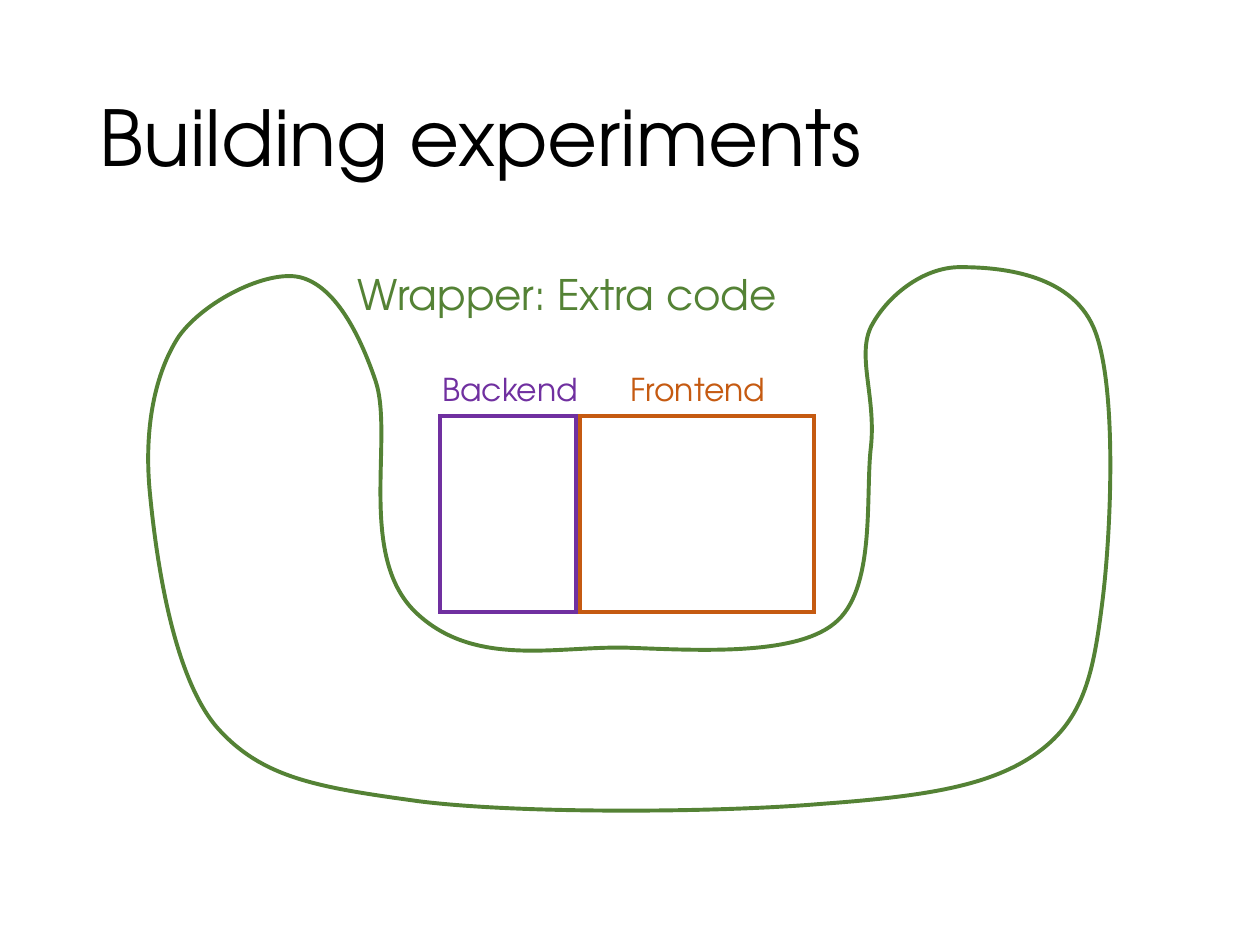
import dataclasses

import lxml.etree
import pptx
import pptx.dml.color
import pptx.enum.shapes
import pptx.enum.text
import pptx.oxml.ns
import pptx.util

Inches = pptx.util.Inches
Color = pptx.dml.color.RGBColor.from_string
Align = pptx.enum.text.PP_ALIGN
Anchor = pptx.enum.text.MSO_ANCHOR
AutoSize = pptx.enum.text.MSO_AUTO_SIZE
qn = pptx.oxml.ns.qn

WRAPPER_BOUNDS = (1.18, 2.12, 7.64, 4.31)
WRAPPER_START = (1.72, 5.77)
WRAPPER_CURVES = [
    ((1.37, 5.36), (1.24, 4.43), (1.19, 3.91)),
    ((1.14, 3.4), (1.23, 2.96), (1.42, 2.67)),
    ((1.62, 2.39), (2.12, 2.14), (2.38, 2.2)),
    ((2.63, 2.26), (2.83, 2.58), (2.98, 3.02)),
    ((3.13, 3.46), (2.83, 4.41), (3.3, 4.86)),
    ((3.76, 5.3), (4.41, 5.13), (4.96, 5.14)),
    ((5.52, 5.16), (6.3, 5.21), (6.62, 4.95)),
    ((6.95, 4.69), (6.87, 3.96), (6.91, 3.57)),
    ((6.96, 3.17), (6.8, 2.84), (6.91, 2.6)),
    ((7.03, 2.36), (7.32, 2.12), (7.62, 2.12)),
    ((7.91, 2.12), (8.49, 2.16), (8.68, 2.6)),
    ((8.87, 3.04), (8.82, 4.21), (8.75, 4.77)),
    ((8.68, 5.33), (8.61, 5.7), (8.24, 5.97)),
    ((7.87, 6.24), (7.34, 6.32), (6.52, 6.38)),
    ((5.7, 6.45), (4.13, 6.46), (3.33, 6.36)),
    ((2.53, 6.25), (2.08, 6.18), WRAPPER_START),
]


@dataclasses.dataclass(frozen=True)
class Theme:
    font: str = "TeX Gyre Adventor"
    ink: str = "000000"
    backend: str = "7030A0"
    frontend: str = "C55A11"
    wrapper: str = "548235"
    title_size: int = 44
    wrapper_size: int = 24
    label_size: int = 18
    line_width: float = 2.25


def write_text(frame, text, *, font, size, color, align=Align.LEFT, spacing=None):
    para = frame.paragraphs[0]
    para.alignment = align
    para.line_spacing = spacing
    span = para.add_run()
    span.text = text
    span.font.name = font
    span.font.size = pptx.util.Pt(size)
    span.font.color.rgb = Color(color)


class SlideBuilder:
    """Draws themed elements on the current page."""

    def __init__(self, theme, page):
        self.theme = theme
        self.page = page

    def title(self, text, bounds):
        box = self.page.shapes.title
        box.left, box.top, box.width, box.height = map(Inches, bounds)
        frame = box.text_frame
        frame.word_wrap = True
        frame.auto_size = AutoSize.NONE
        frame.vertical_anchor = Anchor.MIDDLE
        write_text(frame, text, font=self.theme.font, size=self.theme.title_size,
                   color=self.theme.ink, spacing=0.9)

    def label(self, shapes, text, bounds, size, color, align=Align.LEFT):
        frame = shapes.add_textbox(*map(Inches, bounds)).text_frame
        frame.word_wrap = False
        frame.auto_size = AutoSize.SHAPE_TO_FIT_TEXT
        write_text(frame, text, font=self.theme.font, size=size, color=color, align=align)

    def outline(self, shape, color):
        shape.shadow.inherit = False
        shape.fill.background()
        shape.line.color.rgb = Color(color)
        shape.line.width = pptx.util.Pt(self.theme.line_width)
        line = next(shape.element.iter(qn("a:ln")))
        lxml.etree.SubElement(line, qn("a:miter"), lim="800000")

    def component(self, name, left, width, label_left, color):
        shapes = self.page.shapes.add_group_shape().shapes
        box = shapes.add_shape(pptx.enum.shapes.MSO_SHAPE.RECTANGLE,
                               *map(Inches, (left, 3.3, width, 1.56)))
        self.outline(box, color)
        self.label(shapes, name, (label_left, 2.89, 1.3, 0.4),
                   self.theme.label_size, color, Align.CENTER)

    def closed_curve(self, start, curves, bounds, color):
        left, top, width, height = map(Inches, bounds)
        builder = self.page.shapes.build_freeform(left, top)
        builder.add_line_segments([(left + width, top + height)])
        shape = builder.convert_to_shape()
        route = next(shape.element.iter(qn("a:path")))
        for segment in list(route):
            route.remove(segment)

        def add_segment(tag, points):
            segment = lxml.etree.SubElement(route, qn(tag))
            for x, y in points:
                lxml.etree.SubElement(segment, qn("a:pt"),
                                      x=str(Inches(x) - left), y=str(Inches(y) - top))

        add_segment("a:moveTo", [start])
        for curve in curves:
            add_segment("a:cubicBezTo", curve)
        add_segment("a:close", [])
        self.outline(shape, color)


def main():
    deck = pptx.Presentation()
    deck.slide_width, deck.slide_height = Inches(10), Inches(7.5)
    page = deck.slides.add_slide(deck.slide_layouts.get_by_name("Title Only"))
    theme = Theme()
    builder = SlideBuilder(theme, page)
    builder.title("Building experiments", (0.69, 0.4, 8.62, 1.45))
    builder.component("Backend", 3.49, 1.08, 3.4, theme.backend)
    builder.component("Frontend", 4.6, 1.86, 4.89, theme.frontend)
    builder.closed_curve(WRAPPER_START, WRAPPER_CURVES, WRAPPER_BOUNDS, theme.wrapper)
    builder.label(page.shapes, "Wrapper: Extra code", (2.74, 2.08, 3.59, 0.5),
                  theme.wrapper_size, theme.wrapper)
    deck.save("out.pptx")


if __name__ == "__main__":
    main()
